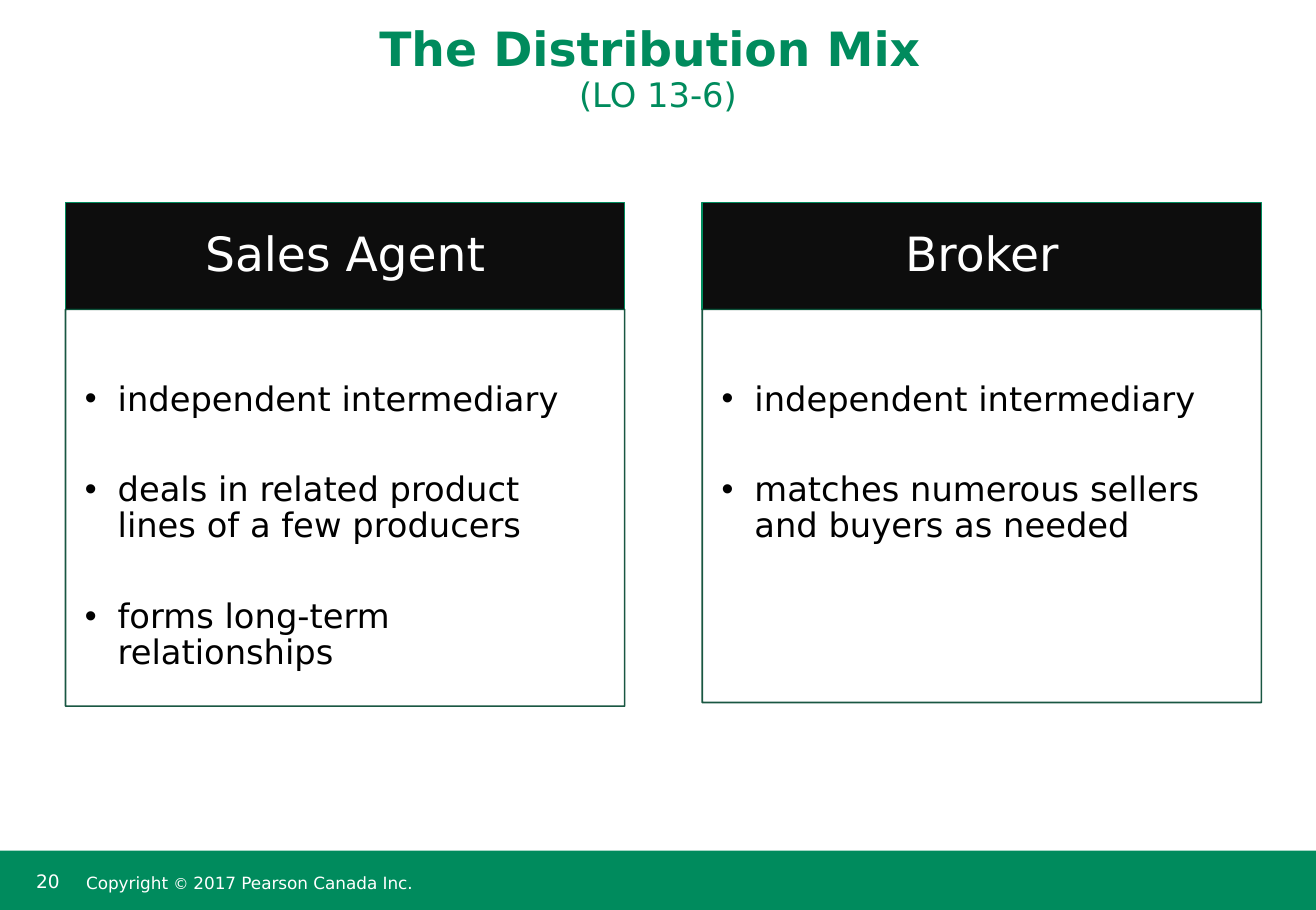
import pptx
import pptx.dml.color
import pptx.enum.shapes
import pptx.enum.text
import pptx.oxml
import pptx.oxml.ns
import pptx.util
from pptx.util import Inches

FONT = "DejaVu Sans"
GREEN, DARK_GREEN, NEAR_BLACK = "008B5D", "00452E", "0D0D0D"
BLACK, WHITE = "000000", "FFFFFF"
ALIGN = pptx.enum.text.PP_ALIGN
ANCHOR = pptx.enum.text.MSO_ANCHOR

TITLE = [("The Distribution Mix \v", 28, True), ("(LO 13-6)", 20, False)]
COLUMNS = [
    {"left": 0.54, "height": 3.27, "heading": "Sales Agent",
     "points": ["independent intermediary",
                "deals in related product lines of a few producers",
                "forms long-term relationships"]},
    {"left": 5.79, "height": 3.24, "heading": "Broker",
     "points": ["independent intermediary",
                "matches numerous sellers and buyers as needed"]},
]
PAGE_NUMBER = [("20", 11, False)]
COPYRIGHT = [("Copyright ", 10, False), ("© ", 9, False),
             ("2017 Pearson Canada Inc.", 10, False)]

PAGE_WIDTH, PAGE_HEIGHT = 10.85, 7.5
COLUMN_WIDTH, HEADING_TOP, HEADING_HEIGHT = 4.61, 1.67, 0.88
FOOTER_TOP = 7.01


def rgb(value):
    return pptx.dml.color.RGBColor.from_string(value)


def place(shape, left, top, width, height):
    shape.left, shape.top = Inches(left), Inches(top)
    shape.width, shape.height = Inches(width), Inches(height)


def paint(shape, fill, line, opacity=100):
    shape.fill.solid()
    shape.fill.fore_color.rgb = rgb(fill)
    shape.line.color.rgb = rgb(line)
    shape.line.width = pptx.util.Pt(1)
    if opacity < 100:
        for color in shape.element.spPr.iter(pptx.oxml.ns.qn("a:srgbClr")):
            color.append(pptx.oxml.parse_xml(
                f'<a:alpha {pptx.oxml.ns.nsdecls("a")} val="{opacity * 1000}"/>'))


def add_bullet(para, indent):
    properties = para._p.get_or_add_pPr()
    properties.set("marL", str(Inches(indent)))
    properties.set("indent", str(-Inches(indent)))
    properties.append(pptx.oxml.parse_xml(
        f'<a:buChar {pptx.oxml.ns.nsdecls("a")} char="•"/>'))


def write(shape, paragraphs, color, align=ALIGN.LEFT, anchor=ANCHOR.TOP,
          insets=(0.1, 0.05, 0.1, 0.05), line_spacing=1.0, space_after=0,
          bullet_indent=None):
    """Fill a shape with paragraphs, each a list of (text, size, bold) spans."""
    frame = shape.text_frame
    frame.word_wrap = True
    frame.auto_size = pptx.enum.text.MSO_AUTO_SIZE.NONE
    frame.vertical_anchor = anchor
    (frame.margin_left, frame.margin_top,
     frame.margin_right, frame.margin_bottom) = map(Inches, insets)
    for index, spans in enumerate(paragraphs):
        para = frame.add_paragraph() if index else frame.paragraphs[0]
        para.alignment = align
        para.line_spacing = line_spacing
        para.space_before = pptx.util.Pt(0)
        para.space_after = pptx.util.Pt(space_after)
        if bullet_indent:
            add_bullet(para, bullet_indent)
        for text, size, bold in spans:
            pieces = text.split("\v")
            for number, piece in enumerate(pieces):
                if number:
                    para.add_line_break()
                if piece:
                    span = para.add_run()
                    span.text = piece
                    span.font.name = FONT
                    span.font.size = pptx.util.Pt(size)
                    span.font.bold = bold
                    span.font.color.rgb = rgb(color)


def add_footer(page):
    band = page.shapes.add_shape(
        pptx.enum.shapes.MSO_SHAPE.RECTANGLE, 0, Inches(FOOTER_TOP),
        Inches(PAGE_WIDTH), Inches(PAGE_HEIGHT - FOOTER_TOP))
    band.shadow.inherit = False
    paint(band, GREEN, GREEN)
    band.line.fill.background()
    number = page.shapes.add_textbox(
        Inches(0.2), Inches(7.12), Inches(0.47), Inches(0.32))
    write(number, [PAGE_NUMBER], WHITE)
    notice = page.shapes.add_textbox(
        Inches(0.66), Inches(FOOTER_TOP), Inches(5.78), Inches(0.5))
    write(notice, [COPYRIGHT], WHITE, anchor=ANCHOR.MIDDLE,
          insets=(0.05, 0.1, 0.05, 0.05), line_spacing=0.85)


def fill_column(heading, body, column):
    place(heading, column["left"], HEADING_TOP, COLUMN_WIDTH, HEADING_HEIGHT)
    paint(heading, NEAR_BLACK, GREEN)
    write(heading, [[(column["heading"], 28, False)]], WHITE,
          align=ALIGN.CENTER, anchor=ANCHOR.MIDDLE,
          insets=(0.22, 0.12, 0.22, 0.12), line_spacing=0.9)
    place(body, column["left"], HEADING_TOP + HEADING_HEIGHT,
          COLUMN_WIDTH, column["height"])
    paint(body, WHITE, DARK_GREEN, opacity=90)
    write(body, [[(point, 20, False)] for point in column["points"]], BLACK,
          insets=(0.16, 0.6, 0.22, 0.24), line_spacing=0.89,
          space_after=32.6, bullet_indent=0.27)


def main():
    deck = pptx.Presentation()
    deck.slide_width, deck.slide_height = Inches(PAGE_WIDTH), Inches(PAGE_HEIGHT)
    comparison = deck.slide_layouts.get_by_name("Comparison")
    page = deck.slides.add_slide(comparison)
    add_footer(page)
    title, *parts = page.placeholders
    place(title, 0, 0, PAGE_WIDTH, 1)
    write(title, [TITLE], GREEN, align=ALIGN.CENTER, anchor=ANCHOR.BOTTOM,
          line_spacing=0.94)
    for heading, body, column in zip(parts[::2], parts[1::2], COLUMNS):
        fill_column(heading, body, column)
    deck.save("out.pptx")


if __name__ == "__main__":
    main()
